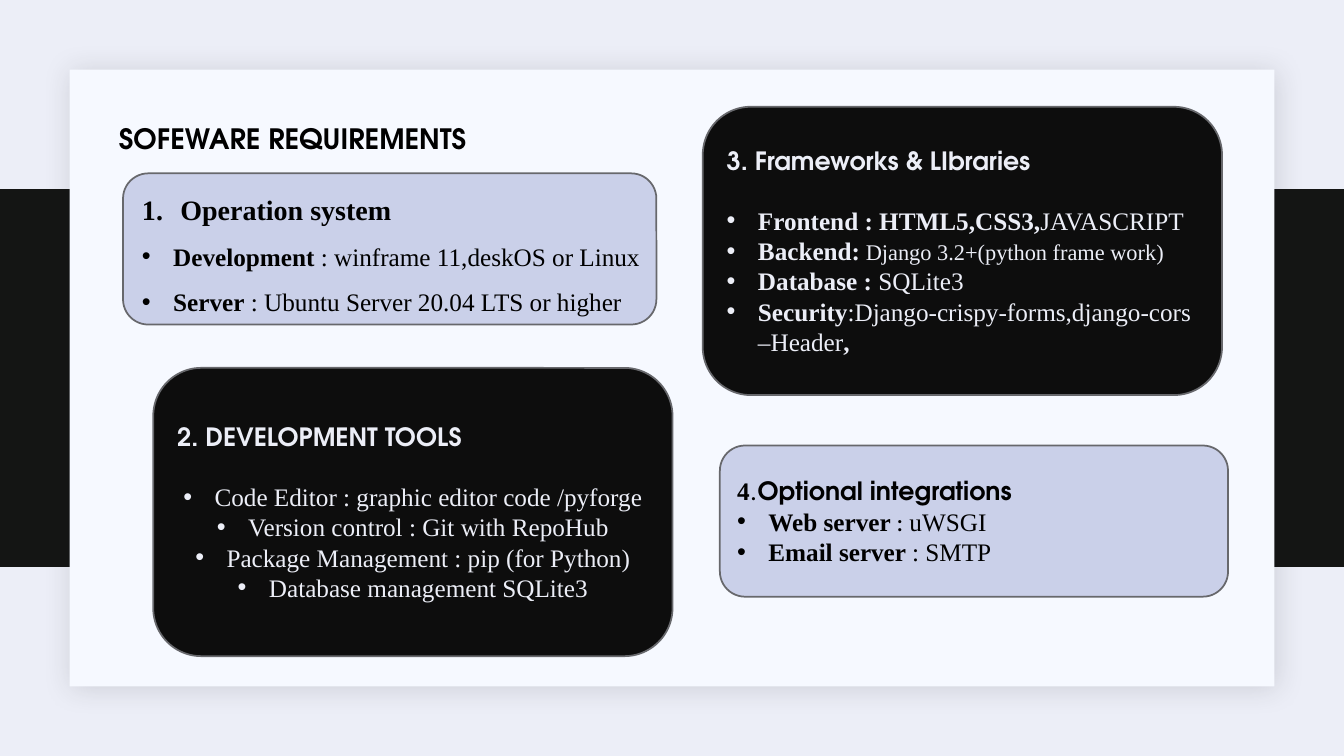
"""Build the software requirements slide with four requirement cards."""
from lxml import etree
from pptx import Presentation
from pptx.dml.color import RGBColor
from pptx.enum.shapes import MSO_SHAPE
from pptx.enum.text import MSO_ANCHOR, MSO_AUTO_SIZE, PP_ALIGN
from pptx.oxml.ns import qn
from pptx.util import Inches, Pt

RECTANGLE, ROUNDED = MSO_SHAPE.RECTANGLE, MSO_SHAPE.ROUNDED_RECTANGLE
MIDDLE, GROW = MSO_ANCHOR.MIDDLE, MSO_AUTO_SIZE.SHAPE_TO_FIT_TEXT
LEFT, CENTER, JUSTIFY = PP_ALIGN.LEFT, PP_ALIGN.CENTER, PP_ALIGN.JUSTIFY

COLORS = {
    "background": "ECEEF7", "band": "141514", "panel": "F6F9FF", "shadow": "1F2125",
    "light_card": "CAD0E9", "dark_card": "0D0D0D", "outline": "67686C",
    "dark_text": "000000", "light_text": "ECEEF7",
}
HEADING, BODY, ACCENT = "TeX Gyre Adventor", "Times New Roman", "League Spartan"

OPERATING_SYSTEM = [
    [("Development ", True), (": winframe 11,deskOS or Linux", False)],
    [("Server", True), (" : Ubuntu Server 20.04 LTS or higher", False)],
]
DEVELOPMENT_TOOLS = [
    [("Code Editor : graphic editor code /pyforge", False)],
    [("Version control : Git with RepoHub", False)],
    [("Package Management : pip (for Python)", False)],
    [("Database management SQLite3", False)],
]
FRAMEWORKS = [
    [("Frontend : HTML5,CSS3,", True), ("JAVASCRIPT", False)],
    [("Backend:", True), (" Django 3.2+(python frame work)", False, BODY, 16)],
    [("Database : ", True), ("SQLite3", False)],
    [("Security", True), (":Django-crispy-forms,django-cors –Header", False), (",", True)],
]
INTEGRATIONS = [
    [("Web server ", True), (": ", False, ACCENT), ("uWSGI", False)],
    [("Email server ", True), (": SMTP", False)],
]


def rgb(name):
    """Return the named colour."""
    return RGBColor.from_string(COLORS[name])


def add_box(slide, kind, box, fill, outline=None):
    """Add a filled preset shape in the given box of inches."""
    shape = slide.shapes.add_shape(kind, *map(Inches, box))
    shape.shadow.inherit = False
    shape.fill.solid()
    shape.fill.fore_color.rgb = rgb(fill)
    if outline:
        shape.line.color.rgb = rgb(outline)
        shape.line.width = Pt(1.25)
    else:
        shape.line.fill.background()
    return shape


def add_text_box(slide, box):
    """Add a wrapping text box and return its text frame."""
    text_frame = slide.shapes.add_textbox(*map(Inches, box)).text_frame
    text_frame.word_wrap = True
    text_frame.auto_size = GROW
    return text_frame


def add_shadow(shape):
    """Give a shape a soft outer shadow."""
    effects = shape._element.spPr.find(qn("a:effectLst"))
    shadow = etree.SubElement(effects, qn("a:outerShdw"), blurRad=str(Pt(20)),
                              dist=str(Pt(2)), dir=str(45 * 60000), algn="ctr", rotWithShape="0")
    color = etree.SubElement(shadow, qn("a:srgbClr"), val=COLORS["shadow"])
    etree.SubElement(color, qn("a:alpha"), val="15000")


def set_bullet(paragraph, indent, numbered=False):
    """Give a paragraph a hanging bullet or number."""
    properties = paragraph._p.get_or_add_pPr()
    properties.set("marL", str(Inches(indent)))
    properties.set("indent", str(-Inches(indent)))
    if numbered:
        etree.SubElement(properties, qn("a:buAutoNum"), type="arabicPeriod")
    else:
        etree.SubElement(properties, qn("a:buFont"), typeface="Arial")
        etree.SubElement(properties, qn("a:buChar"), char="•")


def write_runs(paragraph, runs, color, align=LEFT):
    """Write runs of (text, bold, font, size) into a paragraph."""
    paragraph.alignment = align
    for text, bold, *style in runs:
        font_name, size = (style + [BODY, 18][len(style):])
        run = paragraph.add_run()
        run.text = text
        run.font.name, run.font.size, run.font.bold = font_name, Pt(size), bold
        run.font.color.rgb = rgb(color)


def write_bullets(text_frame, items, color, align=LEFT, line_spacing=None):
    """Append bulleted paragraphs to a text frame."""
    for runs in items:
        paragraph = text_frame.add_paragraph()
        set_bullet(paragraph, 0.31)
        paragraph.line_spacing = line_spacing
        write_runs(paragraph, runs, color, align)


def add_card(slide, box, fill, color, heading, items, align=LEFT, gap=0):
    """Add a rounded card with a heading and bullets."""
    text_frame = add_box(slide, ROUNDED, box, fill, "outline").text_frame
    text_frame.word_wrap = True
    text_frame.vertical_anchor = MIDDLE
    write_runs(text_frame.paragraphs[0], heading, color)
    text_frame.paragraphs[0].space_after = Pt(gap)
    write_bullets(text_frame, items, color, align)


def add_backdrop(slide, width, height):
    """Add the background, dark band and raised panel."""
    slide.background.fill.solid()
    slide.background.fill.fore_color.rgb = rgb("background")
    add_box(slide, RECTANGLE, (0, height / 4, width, height / 2), "band")
    margin = 0.69
    panel = (margin, margin, width - 2 * margin, height - 2 * margin)
    add_shadow(add_box(slide, RECTANGLE, panel, "panel"))


def add_operating_system(slide, box):
    """Add the first card with its text laid slightly off the shape."""
    left, top, width, height = box
    add_box(slide, ROUNDED, box, "light_card", "outline")
    text_frame = add_text_box(slide, (left + 0.09, top - 0.03, width, height - 0.04))
    heading = text_frame.paragraphs[0]
    set_bullet(heading, 0.38, numbered=True)
    heading.line_spacing = 1.5
    write_runs(heading, [("Operation system", True, BODY, 20)], "dark_text")
    write_bullets(text_frame, OPERATING_SYSTEM, "dark_text", line_spacing=1.5)


def build_requirements(slide):
    """Place the title and the four requirement cards."""
    title = add_text_box(slide, (1.08, 1.16, 6.67, 0.44))
    write_runs(title.paragraphs[0], [("SOFEWARE REQUIREMENTS", True, HEADING, 20)], "dark_text")
    add_operating_system(slide, (1.22, 1.72, 5.29, 1.5))
    add_card(slide, (1.52, 3.65, 5.15, 2.86), "dark_card", "light_text",
             [("2. DEVELOPMENT TOOLS", True, HEADING)], DEVELOPMENT_TOOLS, CENTER, gap=21)
    add_card(slide, (7.14, 4.42, 5.04, 1.5), "light_card", "dark_text",
             [("4", True), (".", False, ACCENT), ("Optional integrations", True, HEADING)],
             INTEGRATIONS)
    add_card(slide, (6.97, 1.06, 5.15, 2.86), "dark_card", "light_text",
             [("3. Frameworks & LIbraries", True, HEADING)], FRAMEWORKS, JUSTIFY, gap=21)


def main():
    """Build and save the presentation."""
    width, height = 13.33, 7.5
    presentation = Presentation()
    presentation.slide_width, presentation.slide_height = Inches(width), Inches(height)
    slide = presentation.slides.add_slide(presentation.slide_layouts[6])
    add_backdrop(slide, width, height)
    build_requirements(slide)
    presentation.save("out.pptx")


if __name__ == "__main__":
    main()
